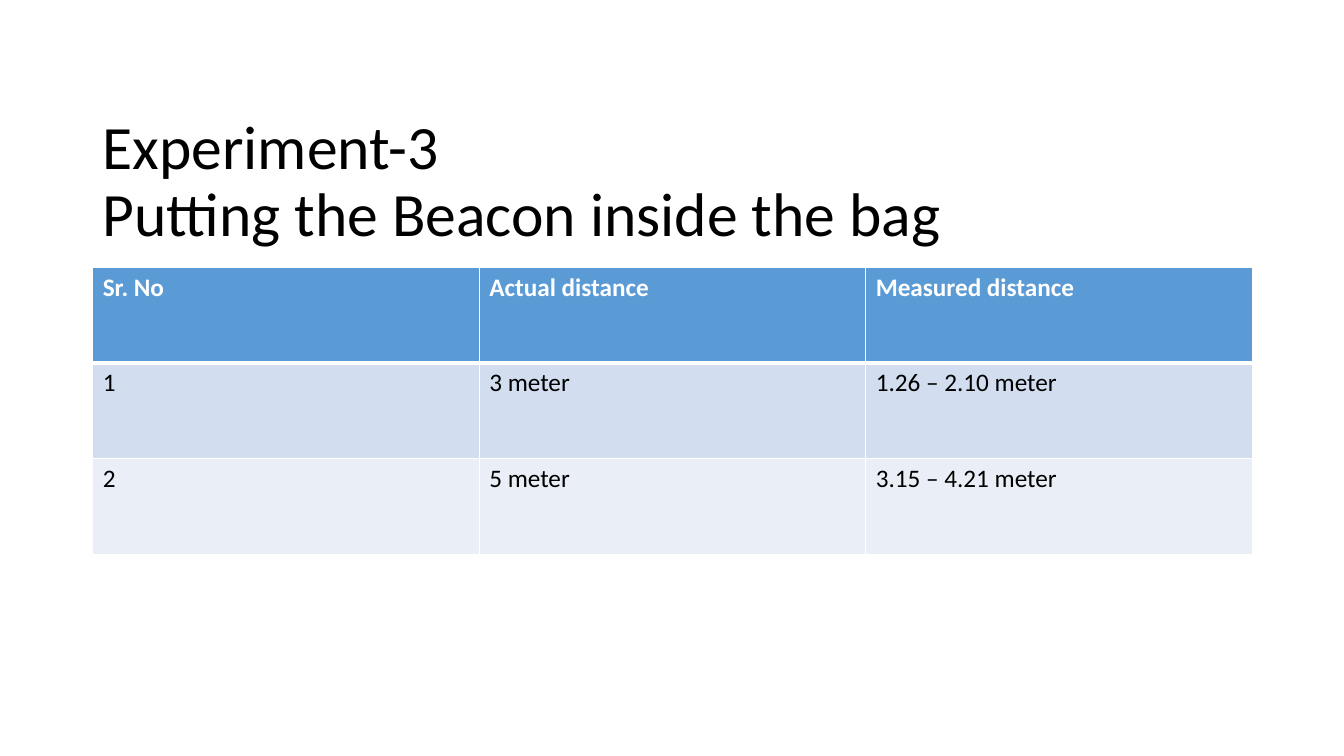
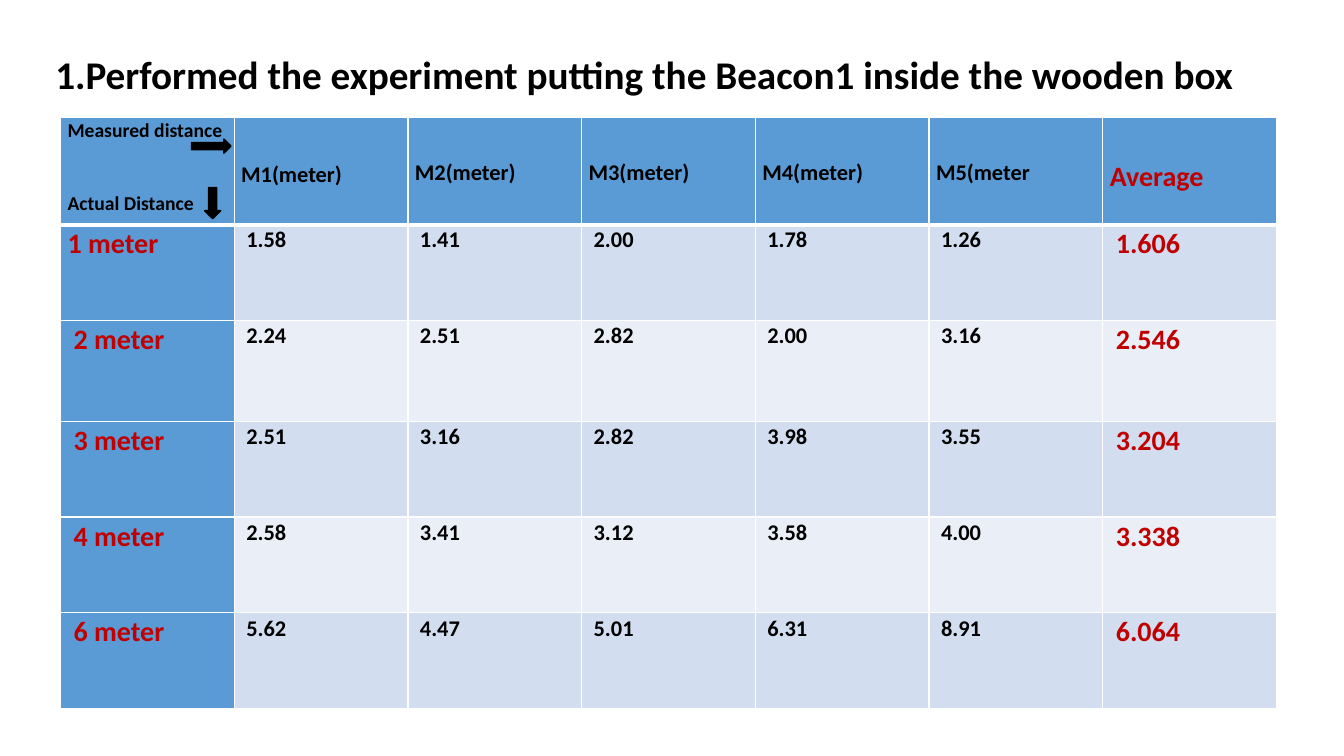
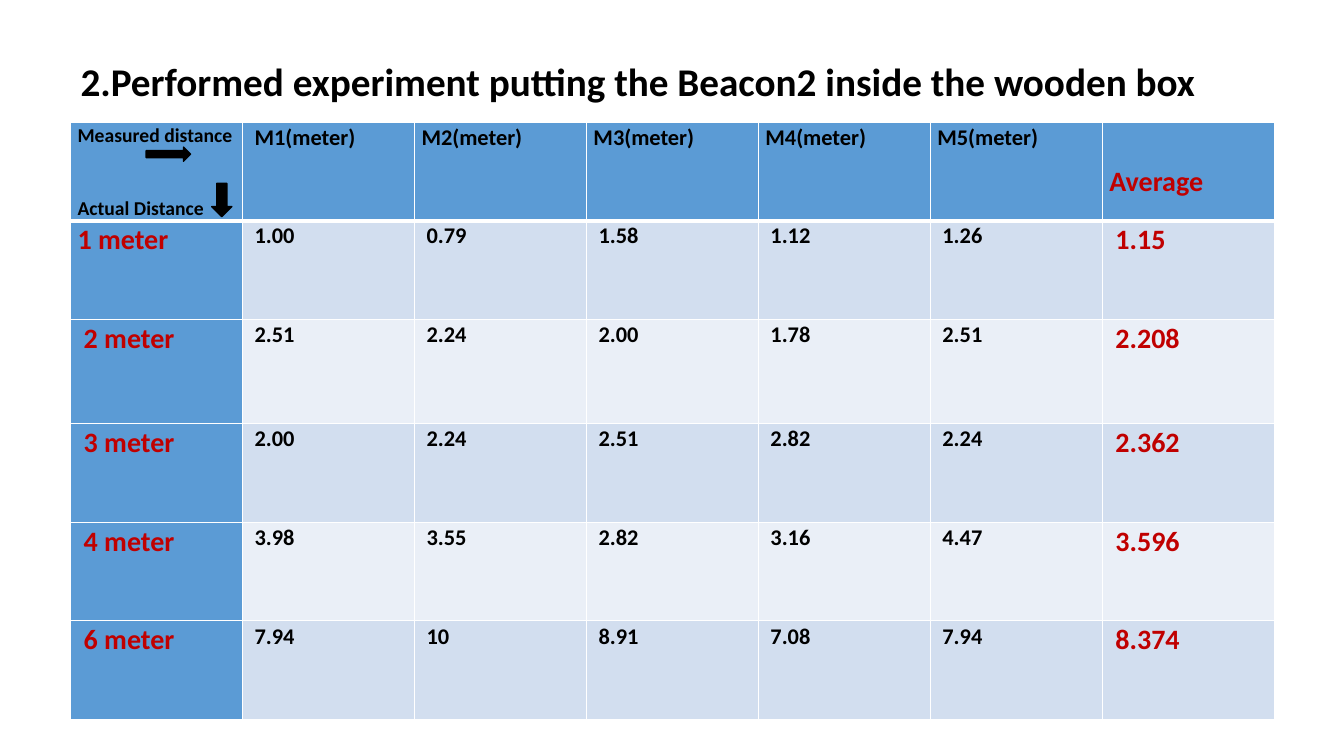
from lxml import etree
from pptx import Presentation
from pptx.dml.color import RGBColor
from pptx.enum.shapes import MSO_SHAPE
from pptx.enum.text import MSO_ANCHOR, MSO_AUTO_SIZE
from pptx.oxml.ns import qn
from pptx.util import Inches, Pt

RIGHT_ARROW, DOWN_ARROW = MSO_SHAPE.RIGHT_ARROW, MSO_SHAPE.DOWN_ARROW
TOP, MIDDLE = MSO_ANCHOR.TOP, MSO_ANCHOR.MIDDLE
GROW = MSO_AUTO_SIZE.SHAPE_TO_FIT_TEXT

BLACK, WHITE, RED = "000000", "FFFFFF", "C00000"
BLUE, BANDS = "5B9BD5", ("D2DEEF", "EAEFF7")
SIDES = ("lnL", "lnR", "lnT", "lnB")


def rgb(color):
    return RGBColor.from_string(color)


class Deck:
    """Holds the shared style and the slide being filled."""

    font = "Calibri"

    def __init__(self):
        self.prs = Presentation()
        self.prs.slide_width, self.prs.slide_height = Inches(13.33), Inches(7.5)
        self.s = None

    def slide(self):
        self.s = self.prs.slides.add_slide(self.prs.slide_layouts[6])

    def add_lines(self, tf, lines, color=BLACK, spacing=None, gap=0, **fmt):
        for i, line in enumerate(lines):
            p = tf.paragraphs[0] if i == 0 else tf.add_paragraph()
            if spacing:
                p.line_spacing = spacing
            if i:
                p.space_before = Pt(gap)
            r = p.add_run()
            r.text = line
            r.font.color.rgb = rgb(color)
            for key, value in {"name": self.font, **fmt}.items():
                setattr(r.font, key, value)

    def title(self, at, lines, anchor=TOP, auto_size=None, **fmt):
        tf = self.s.shapes.add_textbox(*map(Inches, at)).text_frame
        for key, value in {"word_wrap": True, "vertical_anchor": anchor,
                           "auto_size": auto_size}.items():
            setattr(tf, key, value)
        self.add_lines(tf, lines, **fmt)

    def arrow(self, kind, at):
        sp = self.s.shapes.add_shape(kind, *map(Inches, at))
        sp.shadow.inherit = False
        sp.fill.solid()
        sp.fill.fore_color.rgb = rgb(BLACK)
        sp.line.color.rgb = rgb(BLACK)
        sp.line.width = Pt(1)

    def borders(self, cell, heavy):
        tcPr = cell._tc.get_or_add_tcPr()
        for i, side in enumerate(SIDES):
            width = Pt(3 if side == heavy else 1)
            ln = etree.Element(qn("a:" + side), w=str(width))
            fill = etree.SubElement(ln, qn("a:solidFill"))
            etree.SubElement(fill, qn("a:srgbClr"), val=WHITE)
            tcPr.insert(i, ln)

    def table(self, at, heights, rows, style, label_column=False):
        """style(row, column) gives the margins and the text format of a cell."""
        left, top, width = at
        n_cols = len(rows[0])
        frame = self.s.shapes.add_table(
            len(rows), n_cols, *map(Inches, (left, top, width, sum(heights))))
        table = frame.table
        for column in table.columns:
            column.width = Inches(width / n_cols)
        for i, row in enumerate(rows):
            table.rows[i].height = Inches(heights[i])
            for j, text in enumerate(row):
                cell = table.cell(i, j)
                margins, fmt = style(i, j)
                for side, value in margins.items():
                    setattr(cell, "margin_" + side, Inches(value))
                lines = text if isinstance(text, tuple) else (text,)
                self.add_lines(cell.text_frame, lines, **fmt)
                cell.fill.solid()
                accent = i == 0 or (label_column and j == 0)
                cell.fill.fore_color.rgb = rgb(BLUE if accent else BANDS[(i - 1) % 2])
                self.borders(cell, {0: "lnB", 1: "lnT"}.get(i))

    def measurements(self, at, heights, rows, header_margins):
        """Grid of readings with row labels and averages in red."""
        last = len(rows[0]) - 1

        def style(i, j):
            margins = {"left": 0.07, "right": 0.07, "top": 0, "bottom": 0}
            red = j == last or (j == 0 and i > 0)
            size = 20 if red else 14 if j == 0 else 16
            if i == 0:
                margins.update(header_margins.get(j, {}))
            elif (i, j) != (1, 0):
                margins["left"] = 0.13 if red else 0.12
            return margins, {"size": Pt(size), "bold": True, "spacing": 1.07,
                             "gap": 34, "color": RED if red else BLACK}

        self.table(at, heights, rows, style, label_column=True)


def plain_style(i, j):
    return {}, {"size": Pt(18), "bold": i == 0, "color": BLACK if i else WHITE}


CORNER = ("Measured distance", "Actual Distance")
HEADING = {"size": Pt(28), "bold": True, "auto_size": GROW}
LOWERED = {"top": 0.4}


def main():
    deck = Deck()

    # Experiment 3: beacon in the bag
    deck.slide()
    deck.title((0.92, 1.09, 11.5, 1.45),
               ["Experiment-3", "Putting the Beacon inside the bag"],
               anchor=MIDDLE, size=Pt(44), spacing=0.9)
    deck.table((0.92, 2.65, 11.5), [0.95] * 3, [
        ("Sr. No", "Actual distance", "Measured distance"),
        ("1", "3 meter", "1.26 – 2.10 meter"),
        ("2", "5 meter", "3.15 – 4.21 meter"),
    ], plain_style)

    # Beacon 1 in the wooden box
    deck.slide()
    deck.measurements((0.6, 1.16, 12.06), [1.07, 0.95, 1, 0.95, 0.95, 0.95], [
        (CORNER, "M1(meter)", "M2(meter)", "M3(meter)", "M4(meter)", "M5(meter", "Average"),
        ("1 meter", "1.58", "1.41", "2.00", "1.78", "1.26", "1.606"),
        ("2 meter", "2.24", "2.51", "2.82", "2.00", "3.16", "2.546"),
        ("3 meter", "2.51", "3.16", "2.82", "3.98", "3.55", "3.204"),
        ("4 meter", "2.58", "3.41", "3.12", "3.58", "4.00", "3.338"),
        ("6 meter", "5.62", "4.47", "5.01", "6.31", "8.91", "6.064"),
    ], {**{j: LOWERED for j in range(2, 7)}, 1: {"top": 0.42}})
    deck.arrow(RIGHT_ARROW, (1.9, 1.38, 0.39, 0.14))
    deck.arrow(DOWN_ARROW, (2.03, 1.86, 0.16, 0.31))
    deck.title((0.45, 0.45, 12.37, 0.57),
               ["1.Performed the experiment putting the Beacon1 inside the wooden box"],
               **HEADING)

    # Beacon 2 in the wooden box
    deck.slide()
    deck.measurements((0.7, 1.21, 11.94), [0.98, 0.98, 1.03, 0.98, 0.98, 0.98], [
        (CORNER, "M1(meter)", "M2(meter)", "M3(meter)", "M4(meter)", "M5(meter)", "Average"),
        ("1 meter", "1.00", "0.79", "1.58", "1.12", "1.26", "1.15"),
        ("2 meter", "2.51", "2.24", "2.00", "1.78", "2.51", "2.208"),
        ("3 meter", "2.00", "2.24", "2.51", "2.82", "2.24", "2.362"),
        ("4 meter", "3.98", "3.55", "2.82", "3.16", "4.47", "3.596"),
        ("6 meter", "7.94", "10", "8.91", "7.08", "7.94", "8.374"),
    ], {1: {"left": 0.12}, 6: LOWERED})
    deck.arrow(RIGHT_ARROW, (1.45, 1.46, 0.44, 0.14))
    deck.arrow(DOWN_ARROW, (2.1, 1.82, 0.2, 0.33))
    deck.title((0.7, 0.52, 11.42, 0.57),
               ["2.Performed experiment putting the Beacon2 inside the wooden box"],
               **HEADING)

    deck.prs.save("out.pptx")


if __name__ == "__main__":
    main()
